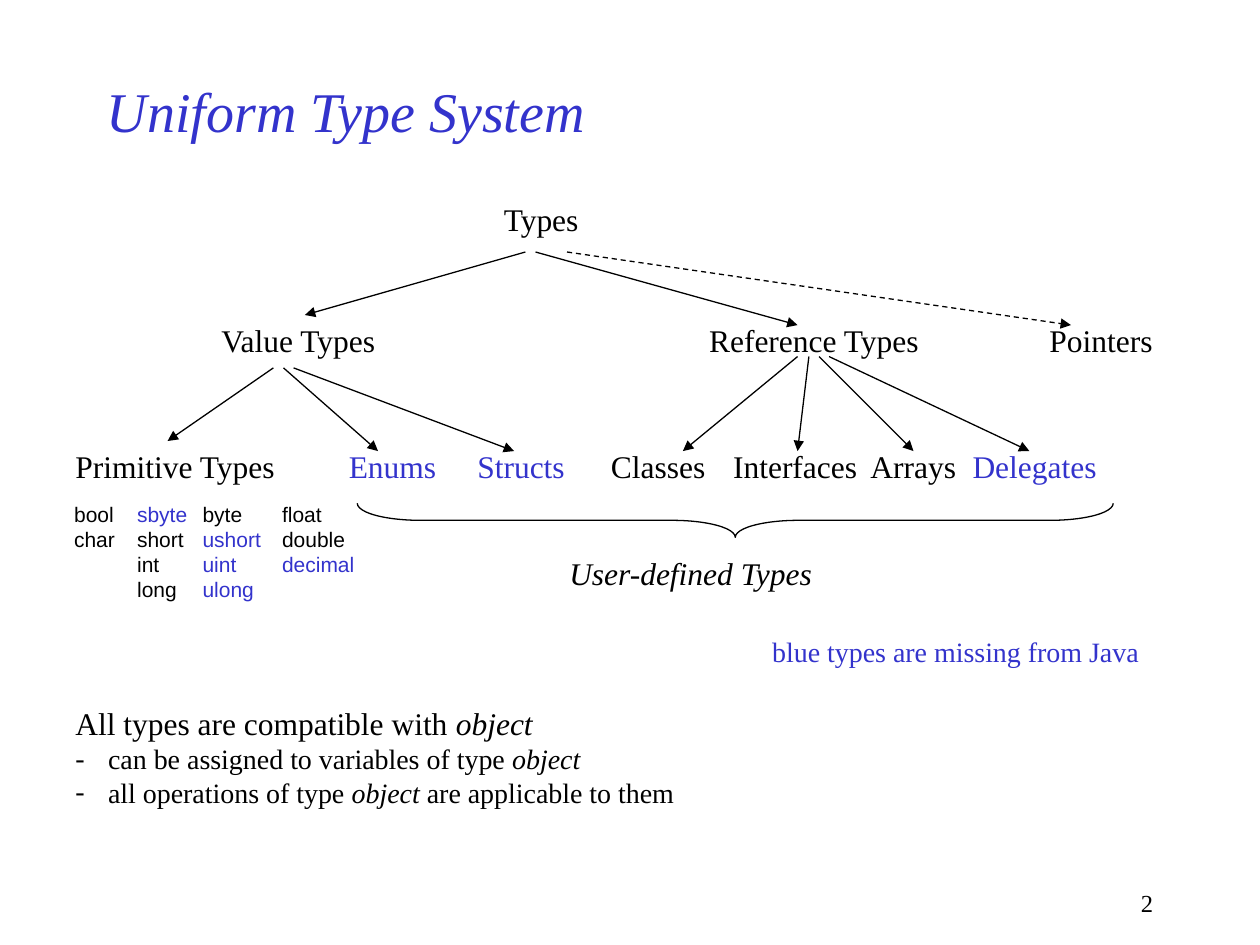
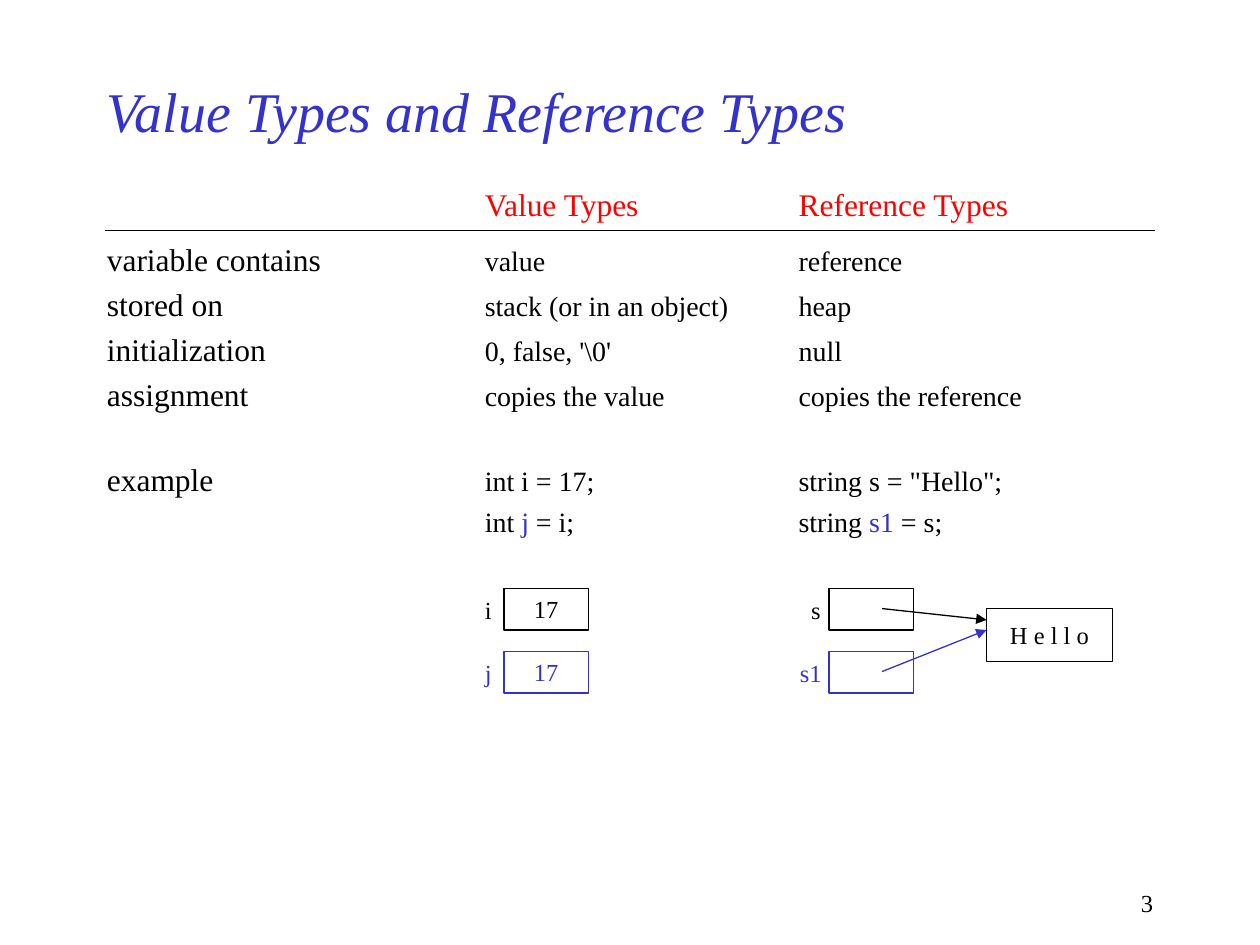
from lxml.etree import SubElement
from pptx import Presentation
from pptx.dml.color import RGBColor
from pptx.enum.dml import MSO_LINE
from pptx.enum.shapes import MSO_CONNECTOR, MSO_SHAPE
from pptx.enum.text import MSO_ANCHOR, MSO_AUTO_SIZE, PP_ALIGN
from pptx.oxml.ns import qn
from pptx.util import Inches, Pt

BLACK = RGBColor(0x00, 0x00, 0x00)
BLUE = RGBColor(0x33, 0x33, 0xCC)
RED = RGBColor(0xFF, 0x00, 0x00)

BODY = {"name": "Times New Roman", "size": Pt(18), "italic": False, "color": BLACK}
TITLE = BODY | {"size": Pt(32), "italic": True, "color": BLUE}
DETAIL = BODY | {"size": Pt(16)}
SMALL = BODY | {"size": Pt(14)}
KEYWORD = BODY | {"name": "Arial", "size": Pt(12)}

HAIRLINE = Pt(0.75)
VALUE_COLUMN, REFERENCE_COLUMN = 3, 5.49


def add_run(paragraph, text, style):
    run = paragraph.add_run()
    run.text = text
    for attribute, value in style.items():
        if attribute == "color":
            run.font.color.rgb = value
        else:
            setattr(run.font, attribute, value)


def add_text(slide, box, paragraphs, wrap=False, anchor=MSO_ANCHOR.TOP):
    """Write paragraphs, each a list of (text, style) runs, into a text box."""
    frame = slide.shapes.add_textbox(*map(Inches, box)).text_frame
    frame.word_wrap = wrap
    frame.auto_size = MSO_AUTO_SIZE.NONE if wrap else MSO_AUTO_SIZE.SHAPE_TO_FIT_TEXT
    frame.vertical_anchor = anchor
    for index, runs in enumerate(paragraphs):
        paragraph = frame.add_paragraph() if index else frame.paragraphs[0]
        for text, style in runs:
            add_run(paragraph, text, style)
    return frame.paragraphs


def add_label(slide, text, left, top, width, style=BODY, height=0.4):
    add_text(slide, (left, top, width, height), [[(text, style)]])


def add_line(slide, start, end, color=BLACK, arrow=True, dashed=False):
    connector = slide.shapes.add_connector(
        MSO_CONNECTOR.STRAIGHT, *map(Inches, (*start, *end)))
    connector.line.color.rgb = color
    connector.line.width = HAIRLINE
    if dashed:
        connector.line.dash_style = MSO_LINE.DASH
    if arrow:
        outline = connector._element.spPr.find(qn("a:ln"))
        SubElement(outline, qn("a:tailEnd"), type="triangle")
    SubElement(connector._element.spPr, qn("a:effectLst"))


def add_outline(slide, preset, box, color=BLACK):
    outline = slide.shapes.add_shape(preset, *map(Inches, box))
    outline.shadow.inherit = False
    outline.fill.background()
    outline.line.color.rgb = color
    outline.line.width = HAIRLINE
    return outline


def add_memory_cell(slide, box, color=BLACK, content=None):
    cell = add_outline(slide, MSO_SHAPE.RECTANGLE, box, color)
    if content:
        frame = cell.text_frame
        frame.word_wrap = False
        frame.vertical_anchor = MSO_ANCHOR.MIDDLE
        frame.paragraphs[0].alignment = PP_ALIGN.CENTER
        add_run(frame.paragraphs[0], content, SMALL | {"color": color})


def set_dash_bullet(paragraph):
    properties = paragraph._p.get_or_add_pPr()
    hanging = Inches(0.26)
    properties.set("marL", str(hanging))
    properties.set("indent", str(-hanging))
    SubElement(properties, qn("a:buFont"), typeface=BODY["name"])
    SubElement(properties, qn("a:buChar"), char="-")


def set_tab_stops(paragraph, stops):
    tabs = SubElement(paragraph._p.get_or_add_pPr(), qn("a:tabLst"))
    for stop in stops:
        SubElement(tabs, qn("a:tab"), pos=str(Inches(stop)), algn="l")


def add_page(deck, title, number):
    slide = deck.slides.add_slide(deck.slide_layouts[6])
    add_text(slide, (0.75, 0.5, 7.5, 0.75), [[(title, TITLE)]], True, MSO_ANCHOR.MIDDLE)
    footer = add_text(slide, (7.17, 7, 2.08, 0.33), [[(str(number), SMALL)]], True)
    footer[0].alignment = PP_ALIGN.RIGHT
    return slide


def add_type_tree(slide):
    blue = BODY | {"color": BLUE}
    for text, left, top, width, style in [
        ("Types", 3.9, 1.54, 0.83, BODY),
        ("Value Types", 1.66, 2.5, 1.5, BODY),
        ("Reference Types", 5.53, 2.5, 1.9, BODY),
        ("Pointers", 8.23, 2.5, 1.05, BODY),
        ("Primitive Types", 0.5, 3.5, 1.82, BODY),
        ("Enums", 2.67, 3.5, 0.93, blue),
        ("Structs", 3.69, 3.5, 0.93, blue),
        ("Classes", 4.75, 3.5, 0.98, BODY),
        ("Interfaces", 5.72, 3.5, 1.22, BODY),
        ("Arrays", 6.81, 3.5, 0.91, BODY),
        ("Delegates", 7.62, 3.5, 1.22, blue),
    ]:
        add_label(slide, text, left, top, width, style)

    for start, end in [
        ((4.17, 2), (2.42, 2.5)),
        ((4.25, 2), (6.33, 2.58)),
        ((2.17, 2.92), (1.33, 3.5)),
        ((2.25, 2.92), (3, 3.58)),
        ((2.33, 2.92), (4.08, 3.58)),
        ((6.33, 2.83), (5.42, 3.58)),
        ((6.42, 2.83), (6.33, 3.58)),
        ((6.5, 2.83), (7.25, 3.58)),
        ((6.58, 2.83), (8.17, 3.58)),
    ]:
        add_line(slide, start, end)
    add_line(slide, (4.5, 2), (8.5, 2.58), dashed=True)


def add_primitive_types(slide):
    missing_from_java = {"sbyte", "ushort", "uint", "ulong", "decimal"}
    for left, width, keywords in [
        (0.49, 0.56, ["bool", "char"]),
        (0.99, 0.64, ["sbyte", "short", "int", "long"]),
        (1.51, 0.7, ["byte", "ushort", "uint", "ulong"]),
        (2.14, 0.82, ["float", "double", "decimal"]),
    ]:
        paragraphs = [
            [(word, KEYWORD | {"color": BLUE if word in missing_from_java else BLACK})]
            for word in keywords]
        add_text(slide, (left, 3.93, width, 0.1 + 0.2 * len(keywords)), paragraphs)


def build_type_system(deck):
    slide = add_page(deck, "Uniform Type System", 2)
    add_type_tree(slide)
    add_primitive_types(slide)

    brace = add_outline(slide, MSO_SHAPE.RIGHT_BRACE, (5.7, 1.13, 0.27, 6))
    brace.rotation = 90
    brace.adjustments[0] = 1.85
    add_label(slide, "User-defined Types", 4.42, 4.35, 2.17, BODY | {"italic": True})
    add_label(slide, "blue types are missing from Java", 6.03, 4.99, 3.13,
              DETAIL | {"color": BLUE}, 0.37)

    detail_object = ("object", DETAIL | {"italic": True})
    _, *bullets = add_text(slide, (0.5, 5.54, 4.97, 0.94), [
        [("All types are compatible with ", BODY), ("object", BODY | {"italic": True})],
        [("can be assigned to variables of type ", DETAIL), detail_object],
        [("all operations of type ", DETAIL), detail_object,
         (" are applicable to them", DETAIL)],
    ])
    for bullet in bullets:
        set_dash_bullet(bullet)


def add_comparison(slide):
    heading = BODY | {"color": RED}
    highlight = DETAIL | {"color": BLUE}
    rows = [(4.5, [("\tValue Types\tReference Types", heading)])]
    rows += [
        (space, [(aspect, BODY), (f"\t{value}\t{reference}", DETAIL)])
        for space, aspect, value, reference in [
            (10, "variable contains", "value", "reference"),
            (4, "stored on", "stack (or in an object)", "heap"),
            (4, "initialization", r"0, false, '\0'", "null"),
            (4, "assignment", "copies the value", "copies the reference"),
            (27, "example", "int i = 17;", 'string s = "Hello";'),
        ]]
    rows.append((4, [("\tint ", DETAIL), ("j", highlight), (" = i;\tstring ", DETAIL),
                     ("s1", highlight), (" = s;", DETAIL)]))
    paragraphs = add_text(slide, (0.75, 1.42, 8.5, 3), [runs for _, runs in rows], True)
    for paragraph, (space, _) in zip(paragraphs, rows):
        paragraph.space_before = Pt(space)
        set_tab_stops(paragraph, [VALUE_COLUMN, REFERENCE_COLUMN])
    add_line(slide, (0.83, 1.83), (9.17, 1.83), arrow=False)


def add_memory_diagram(slide):
    for variable, label_left, label_width, cell_left, top, color, content in [
        ("i", 3.75, 0.25, 4, 4.67, BLACK, "17"),
        ("j", 3.75, 0.25, 4, 5.17, BLUE, "17"),
        ("s", 6.34, 0.27, 6.58, 4.67, BLACK, None),
        ("s1", 6.25, 0.37, 6.58, 5.17, BLUE, None),
    ]:
        add_memory_cell(slide, (cell_left, top, 0.67, 0.33), color, content)
        add_label(slide, variable, label_left, top, label_width,
                  SMALL | {"color": color}, 0.34)
    add_memory_cell(slide, (7.83, 4.83, 1, 0.42), content="H e l l o")
    add_line(slide, (7, 4.83), (7.83, 4.92))
    add_line(slide, (7, 5.33), (7.83, 5), BLUE)


def build_value_and_reference(deck):
    slide = add_page(deck, "Value Types and Reference Types", 3)
    add_comparison(slide)
    add_memory_diagram(slide)


def main():
    deck = Presentation()
    deck.slide_width, deck.slide_height = Inches(10), Inches(7.5)
    build_type_system(deck)
    build_value_and_reference(deck)
    deck.save("out.pptx")


if __name__ == "__main__":
    main()
